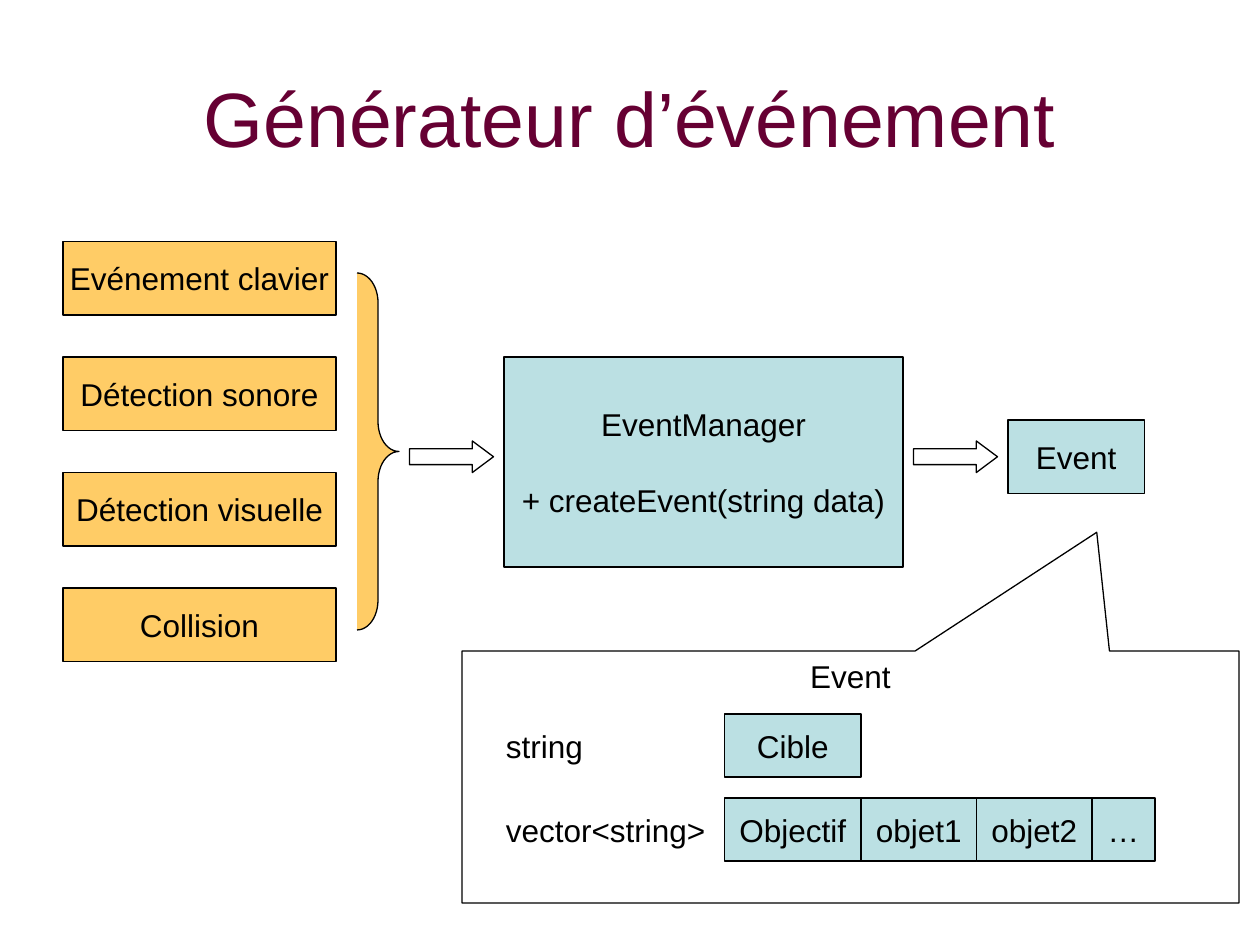
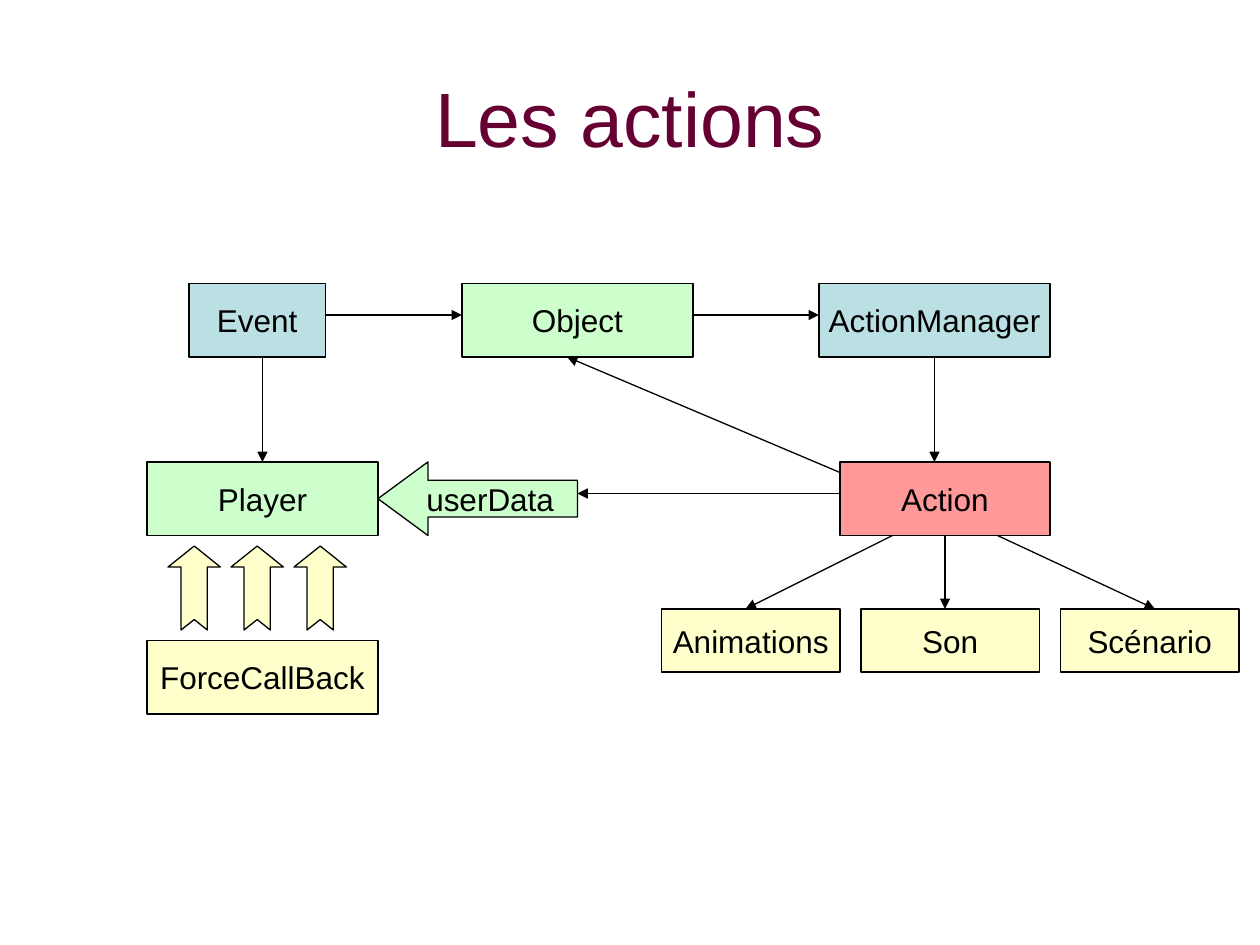
from lxml import etree
from pptx import Presentation
from pptx import util as u
from pptx.dml.color import RGBColor
from pptx.enum import shapes, text
from pptx.oxml import ns

# Shared style
FONT = "Arial"
BLACK = RGBColor(0x00, 0x00, 0x00)
WHITE = RGBColor(0xFF, 0xFF, 0xFF)
PLUM = RGBColor(0x66, 0x00, 0x33)
ORANGE = RGBColor(0xFF, 0xCC, 0x66)
BLUE = RGBColor(0xBB, 0xE0, 0xE3)
GREEN = RGBColor(0xCC, 0xFF, 0xCC)
YELLOW = RGBColor(0xFF, 0xFF, 0xCC)
RED = RGBColor(0xFF, 0x99, 0x99)
LINE_WIDTH = u.Pt(0.75)
KIND = shapes.MSO_SHAPE
ALIGN = text.PP_ALIGN
ANCHOR = text.MSO_ANCHOR


def grid(*steps):
    """Lengths on the drawing grid, twelve steps to 2.54 cm."""
    return [u.Cm(step * 2.54 / 12) for step in steps]


def write(shape, lines, size=18, color=BLACK, align=ALIGN.CENTER,
          anchor=ANCHOR.MIDDLE, wrap=False, gap=0):
    frame = shape.text_frame
    frame.word_wrap = wrap
    frame.vertical_anchor = anchor
    for index, line in enumerate(lines):
        para = frame.add_paragraph() if index else frame.paragraphs[0]
        para.alignment = align
        if index:
            para.space_before = u.Pt(gap)
        span = para.add_run()
        span.text = line
        span.font.name = FONT
        span.font.size = u.Pt(size)
        span.font.color.rgb = color


def add_title(page, title):
    box = page.shapes.add_textbox(*grid(6, 3.6, 108, 15))
    write(box, [title], size=44, color=PLUM, wrap=True)


def add_label(page, label, *place):
    box = page.shapes.add_textbox(*grid(*place))
    write(box, [label], align=ALIGN.LEFT)


def add_figure(page, kind, fill, *place, adjust=()):
    shape = page.shapes.add_shape(kind, *grid(*place))
    shape.shadow.inherit = False
    shape.fill.solid()
    shape.fill.fore_color.rgb = fill
    shape.line.color.rgb = BLACK
    shape.line.width = LINE_WIDTH
    for index, value in enumerate(adjust):
        shape.adjustments[index] = value
    return shape


def add_box(page, label, fill, *place):
    write(add_figure(page, KIND.RECTANGLE, fill, *place), [label])


def add_arrow(page, *ends):
    line = page.shapes.add_connector(shapes.MSO_CONNECTOR.STRAIGHT, *grid(*ends))
    line.line.color.rgb = BLACK
    line.line.width = LINE_WIDTH
    head = etree.SubElement(line.line._get_or_add_ln(), ns.qn("a:tailEnd"))
    head.set("type", "triangle")
    etree.SubElement(line._element.spPr, ns.qn("a:effectLst"))


def build_generator(page):
    add_title(page, "Générateur d’événement")

    # Event sources and their brace
    sources = ["Evénement clavier", "Détection sonore", "Détection visuelle", "Collision"]
    for row, source in enumerate(sources):
        add_box(page, source, ORANGE, 6, 23 + 11 * row, 26, 7)
    add_figure(page, KIND.RIGHT_BRACE, ORANGE, 34, 26, 4, 34, adjust=(0.71, 0.5))

    # Manager and the event it creates
    manager = add_figure(page, KIND.RECTANGLE, BLUE, 48, 34, 38, 20)
    write(manager, ["EventManager", "+ createEvent(string data)"], gap=22)
    add_box(page, "Event", BLUE, 96, 40, 13, 7)
    for left in (39, 87):
        add_figure(page, KIND.RIGHT_ARROW, WHITE, left, 42, 8, 3, adjust=(0.5, 0.67))

    # Content of an event
    callout = add_figure(page, KIND.RECTANGULAR_CALLOUT, WHITE, 44, 62, 74, 24,
                         adjust=(0.317, -0.971))
    write(callout, ["Event"], anchor=ANCHOR.TOP, wrap=True)
    for label, top in (("string", 68), ("vector<string>", 76)):
        add_label(page, label, 47, top, 22, 6)
    add_box(page, "Cible", BLUE, 69, 68, 13, 6)
    left = 69
    for item, width in (("Objectif", 13), ("objet1", 11), ("objet2", 11), ("…", 6)):
        add_box(page, item, BLUE, left, 76, width, 6)
        left += width


def build_actions(page):
    add_title(page, "Les actions")

    # Main classes
    for name, fill, left, top, width in (
        ("Event", BLUE, 18, 27, 13),
        ("Object", GREEN, 44, 27, 22),
        ("ActionManager", BLUE, 78, 27, 22),
        ("Player", GREEN, 14, 44, 22),
        ("Action", RED, 80, 44, 20),
        ("ForceCallBack", YELLOW, 14, 61, 22),
    ):
        add_box(page, name, fill, left, top, width, 7)

    # Kinds of action
    for column, name in enumerate(("Animations", "Son", "Scénario")):
        add_box(page, name, YELLOW, 63 + 19 * column, 58, 17, 6)

    # Block arrows into the player
    user_data = add_figure(page, KIND.LEFT_ARROW, GREEN, 36, 44, 19, 7, adjust=(0.5, 0.68))
    write(user_data, ["userData"])
    for column in range(3):
        force = add_figure(page, KIND.NOTCHED_RIGHT_ARROW, YELLOW,
                           14.5 + 6 * column, 53.5, 8, 5, adjust=(0.5, 0.4))
        force.rotation = 270

    # Links between the classes
    for ends in (
        (25, 34, 25, 44), (31, 30, 44, 30), (66, 30, 78, 30),
        (89, 34, 89, 44), (80, 47, 55, 47), (80, 45, 54, 34),
        (85, 51, 71, 58), (90, 51, 90, 58), (95, 51, 110, 58),
    ):
        add_arrow(page, *ends)


def main():
    deck = Presentation()
    deck.slide_width, deck.slide_height = u.Cm(25.4), u.Cm(19.05)
    for build in (build_generator, build_actions):
        build(deck.slides.add_slide(deck.slide_layouts[6]))
    deck.save("out.pptx")


if __name__ == "__main__":
    main()
